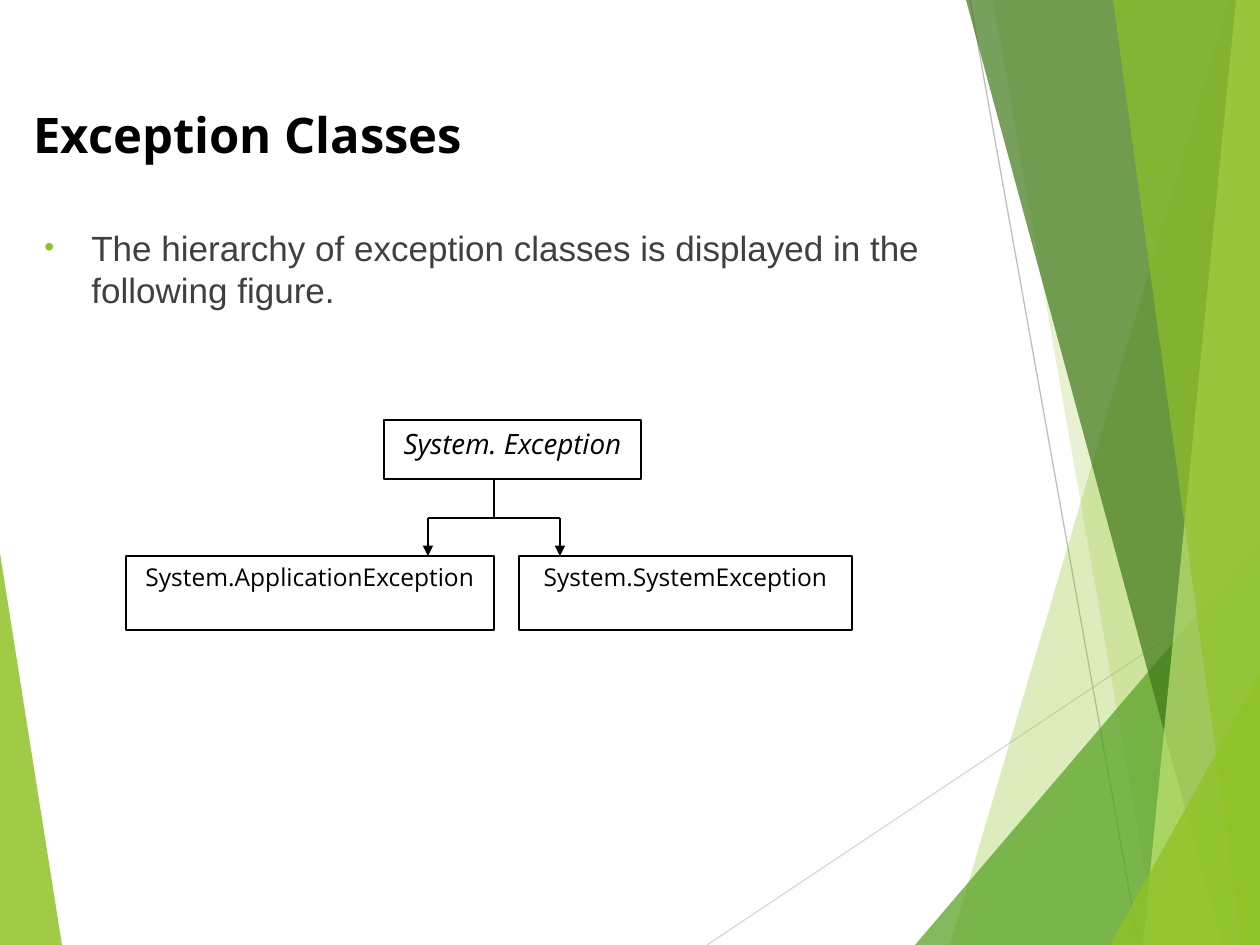
from lxml.etree import SubElement
from pptx import Presentation
from pptx.dml.color import RGBColor
from pptx.enum.shapes import MSO_CONNECTOR, MSO_SHAPE
from pptx.enum.text import MSO_ANCHOR, PP_ALIGN
from pptx.oxml.ns import qn
from pptx.util import Pt

W, H = 1260, 945
SCALE = 914400 / 126


def px(n):
    return round(n * SCALE)


def color(value):
    return RGBColor.from_string(value)


def fill_shape(sp, value, alpha=100):
    sp.shadow.inherit = False
    sp.fill.solid()
    sp.fill.fore_color.rgb = color(value)
    if alpha < 100:
        clr = sp.fill._xPr.find(qn("a:solidFill"))[0]
        SubElement(clr, qn("a:alpha"), val=str(alpha * 1000))


def add_line(s, start, end, value="000000", arrow=False):
    ln = s.shapes.add_connector(MSO_CONNECTOR.STRAIGHT, *map(px, (*start, *end)))
    ln.line.color.rgb = color(value)
    ln.line.width = Pt(0.75)
    if arrow:
        SubElement(ln.line._get_or_add_ln(), qn("a:tailEnd"), type="triangle")
    SubElement(ln._element.spPr, qn("a:effectLst"))


def add_facet(s, points, value, alpha):
    fb = s.shapes.build_freeform(*points[0], scale=SCALE)
    fb.add_line_segments(points[1:], close=True)
    sp = fb.convert_to_shape()
    fill_shape(sp, value, alpha)
    sp.line.fill.background()


def write(sp, text, value="000000", align=PP_ALIGN.LEFT, **font):
    tf = sp.text_frame
    tf.word_wrap = True
    tf.vertical_anchor = MSO_ANCHOR.TOP
    p = tf.paragraphs[0]
    p.alignment = align
    r = p.add_run()
    r.text = text
    r.font.color.rgb = color(value)
    for name, setting in font.items():
        setattr(r.font, name, setting)
    return p


def add_backdrop(s, x, y, w, h):
    right, bottom = x + w, y + h
    add_facet(s, [(x, y + 553), (x + 62, bottom), (x, bottom)], "90C226", 85)
    add_line(s, (x + 707, bottom), (right, y + 576), "D9D9D9")
    add_line(s, (x + 970, y), (x + 1139, bottom), "BFBFBF")
    facets = [
        (1229, 0, 950, "90C226", 30),
        (993, 0, 1158, "90C226", 20),
        (right, 541, 915, "54A021", 72),
        (966, 0, 1222, "3F7819", 70),
        (1236, 0, 1143, "C0E474", 70),
        (1113, 0, 1242, "90C226", 65),
        (right, 674, 1110, "90C226", 80),
    ]
    for top_x, top, base_x, value, alpha in facets:
        points = [(x + top_x, y + top), (x + base_x, bottom), (right, bottom), (right, y + top)]
        add_facet(s, points[:3] if top else points, value, alpha)


def add_title(s, x, y, w, h):
    sp = s.shapes.add_textbox(*map(px, (x, y, w, h)))
    write(sp, "Exception Classes", size=Pt(28), name="Open Sans", bold=True)


def add_body(s, x, y, w, h):
    sp = s.shapes.add_textbox(*map(px, (x, y, w, h)))
    fill_shape(sp, "FFFFFF")
    p = write(sp, "The hierarchy of exception classes is displayed in the following figure.",
              "404040", size=Pt(20), name="Arial")
    p.space_before = Pt(10)
    pPr = p._p.get_or_add_pPr()
    pPr.set("marL", str(px(47)))
    pPr.set("indent", str(px(-47)))
    SubElement(SubElement(pPr, qn("a:buClr")), qn("a:srgbClr"), val="90C226")
    SubElement(pPr, qn("a:buSzPct"), val="80000")
    SubElement(pPr, qn("a:buFont"), typeface="Arial")
    SubElement(pPr, qn("a:buChar"), char="•")


def add_class(s, text, x, y, w, h, **font):
    sp = s.shapes.add_shape(MSO_SHAPE.RECTANGLE, *map(px, (x, y, w, h)))
    fill_shape(sp, "FFFFFF")
    sp.line.color.rgb = color("000000")
    sp.line.width = Pt(0.75)
    write(sp, text, align=PP_ALIGN.CENTER, name="Open Sans", **font)


def add_hierarchy(s, x, y, w, h):
    child_y = y + 136
    child_h = h - 136
    add_class(s, "System. Exception", x + 258, y, 257, 59, size=Pt(16), italic=True)
    add_class(s, "System.ApplicationException", x, child_y, 368, child_h, size=Pt(14))
    add_class(s, "System.SystemException", x + w - 333, child_y, 333, child_h, size=Pt(14))
    stem, fork = x + 368, y + 98
    add_line(s, (stem, y + 59), (stem, fork))
    for branch in (stem - 66, stem + 66):
        add_line(s, (stem, fork), (branch, fork))
        add_line(s, (branch, fork), (branch, child_y), arrow=True)


prs = Presentation()
prs.slide_width, prs.slide_height = px(W), px(H)
s = prs.slides.add_slide(prs.slide_layouts[6])
add_backdrop(s, 0, 0, W, H)
add_title(s, 21, 98, 1018, 72)
add_body(s, 32, 220, 966, 147)
add_hierarchy(s, 126, 420, 726, 210)
prs.save("out.pptx")
